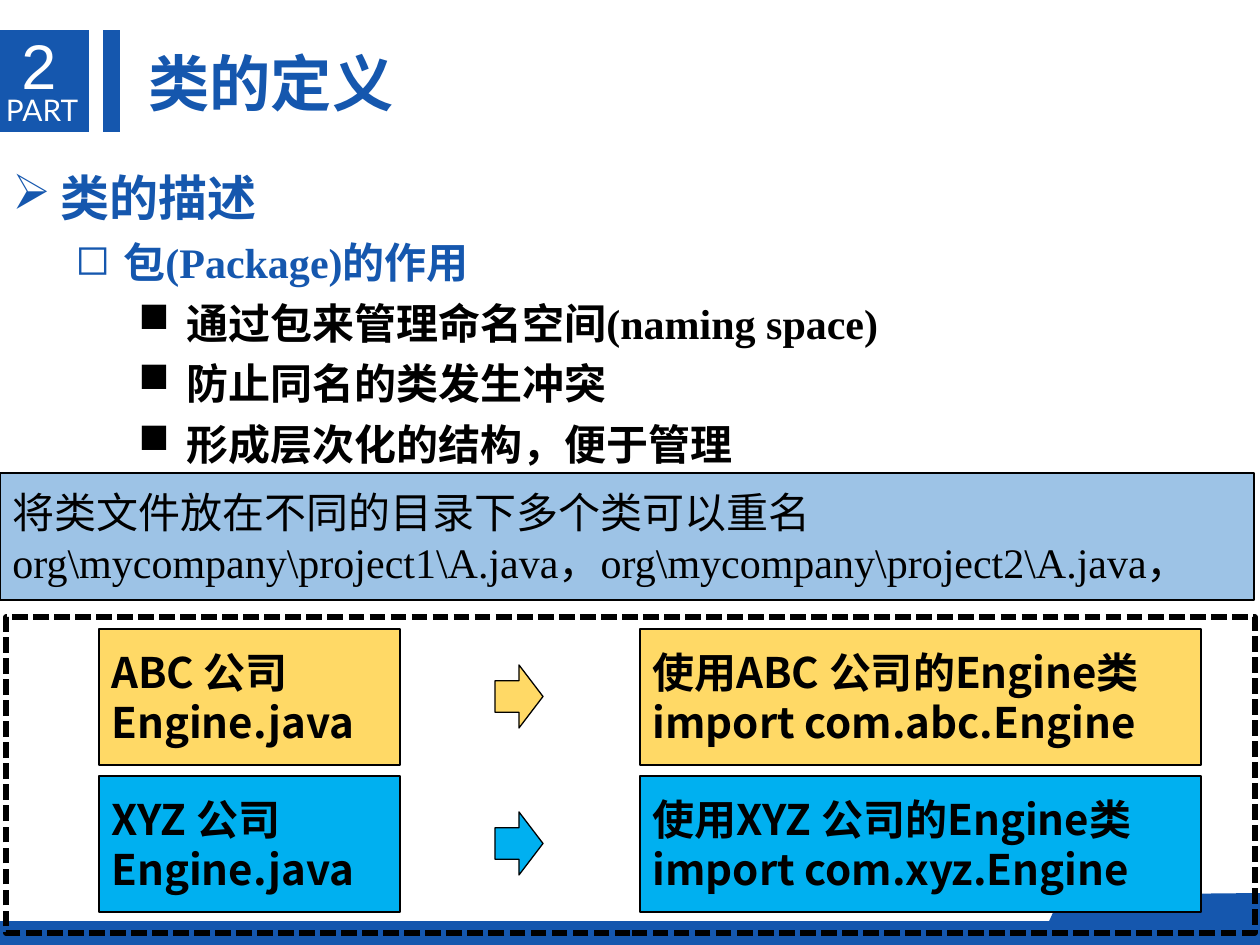
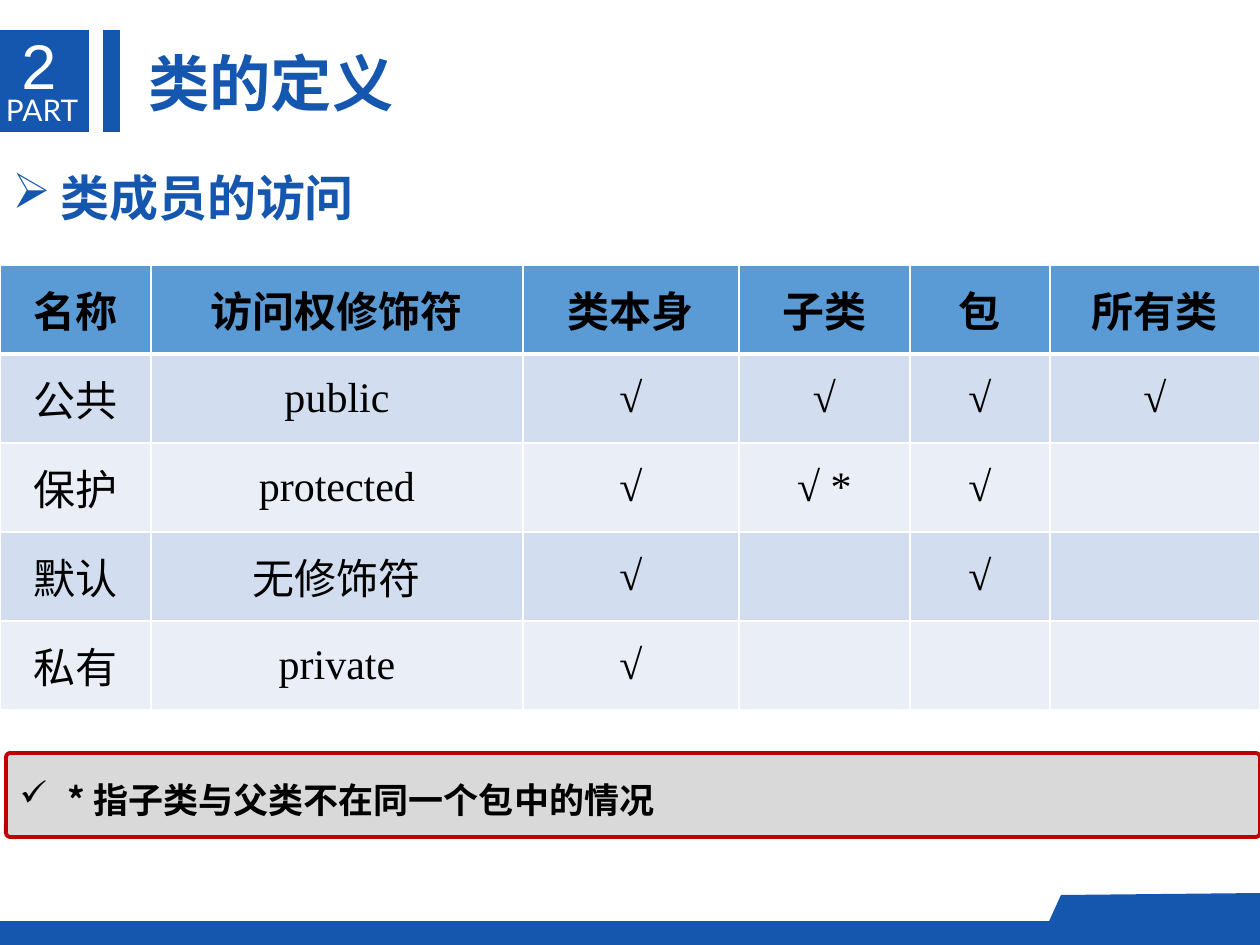
import lxml.etree
import pptx
import pptx.dml.color
import pptx.enum.dml
import pptx.enum.shapes
import pptx.enum.text
import pptx.oxml.ns
import pptx.util

PX = 914400 / 126
WIDTH, HEIGHT = 1260, 945
COLORS = {
    "blue": "1557AE", "white": "FFFFFF", "black": "000000",
    "sky": "9DC3E6", "gold": "FFD966", "cyan": "00B0F0",
    "header": "5B9BD5", "band_dark": "D2DEEF", "band_light": "EAEFF7",
    "gray": "D9D9D9", "red": "C00000",
}
CJK, SERIF = "Noto Sans CJK SC", "Times New Roman"
SHAPE = pptx.enum.shapes.MSO_SHAPE
ALIGN = pptx.enum.text.PP_ALIGN
MIDDLE = pptx.enum.text.MSO_ANCHOR.MIDDLE

PART_NUMBER, TITLE = "2", "类的定义"

# Outline levels: bullet, size, font, color
LEVELS = [
    ("➢", 28, CJK, "blue"),
    ("◻", 24, SERIF, "blue"),
    ("■", 24, SERIF, "black"),
]
INDENT, LEVEL_STEP = 48, 63

PACKAGE_OUTLINE = [
    (0, "类的描述"),
    (1, "包(Package)的作用"),
    (2, "通过包来管理命名空间(naming space)"),
    (2, "防止同名的类发生冲突"),
    (2, "形成层次化的结构，便于管理"),
]
DIRECTORY_NOTE = [
    ("将类文件放在不同的目录下多个类可以重名", CJK),
    (r"org\mycompany\project1\A.java，org\mycompany\project2\A.java，", SERIF),
]
COMPANIES = [
    ("gold", ["ABC 公司", "Engine.java"],
     ["使用ABC 公司的Engine类", "import com.abc.Engine"]),
    ("cyan", ["XYZ 公司", "Engine.java"],
     ["使用XYZ 公司的Engine类", "import com.xyz.Engine"]),
]

ACCESS_OUTLINE = [(0, "类成员的访问")]
ACCESS_ROWS = [
    ["名称", "访问权修饰符", "类本身", "子类", "包", "所有类"],
    ["公共", "public", "√", "√", "√", "√"],
    ["保护", "protected", "√", "√ *", "√", ""],
    ["默认", "无修饰符", "√", "", "√", ""],
    ["私有", "private", "√", "", "", ""],
]
COLUMN_WIDTHS = [151, 372, 216, 171, 140, 210]
ROW_HEIGHT = 89
FOOTNOTE = "* 指子类与父类不在同一个包中的情况"


def px(length):
    return pptx.util.Emu(round(length * PX))


def rgb(name):
    return pptx.dml.color.RGBColor.from_string(COLORS[name])


def sub(parent, tag, **attributes):
    return lxml.etree.SubElement(parent, pptx.oxml.ns.qn(tag), attributes)


def style(para, size, font, color, bold=False):
    para.font.size = pptx.util.Pt(size)
    para.font.bold = bold
    para.font.color.rgb = rgb(color)
    para.font.name = font
    east_asian = font if font != SERIF else CJK
    sub(para.font._element, "a:ea", typeface=east_asian)


def add_bullet(para, bullet, left):
    """Give the paragraph a hanging bullet and wide line spacing."""
    para.line_spacing = 1.2
    properties = para._p.get_or_add_pPr()
    properties.set("marL", str(px(left)))
    properties.set("indent", str(-px(INDENT)))
    sub(properties, "a:buChar", char=bullet)


def write_lines(frame, lines):
    """Fill the frame with paragraphs and yield each one for styling."""
    for index, text in enumerate(lines):
        para = frame.paragraphs[0] if index == 0 else frame.add_paragraph()
        para.text = text
        para.alignment = ALIGN.LEFT
        yield para


def add_box(page, kind, area, fill=None, line=None, line_width=0.75):
    box = page.shapes.add_shape(kind, *map(px, area))
    box.shadow.inherit = False
    paint(box, fill, line, line_width)
    return box


def paint(shape, fill, line=None, line_width=0.75):
    if fill:
        shape.fill.solid()
        shape.fill.fore_color.rgb = rgb(fill)
    else:
        shape.fill.background()
    if line:
        shape.line.color.rgb = rgb(line)
        shape.line.width = pptx.util.Pt(line_width)
    else:
        shape.line.fill.background()


def add_label(page, area, text, size, font, color, bold=False, inset=True):
    box = page.shapes.add_textbox(*map(px, area))
    frame = box.text_frame
    frame.word_wrap = False
    if not inset:
        frame.margin_left = frame.margin_right = 0
        frame.margin_top = frame.margin_bottom = 0
    for para in write_lines(frame, [text]):
        style(para, size, font, color, bold)


def add_outline(page, height, items):
    box = page.shapes.add_textbox(0, px(150), px(WIDTH), px(height))
    box.text_frame.word_wrap = True
    paras = write_lines(box.text_frame, [text for _, text in items])
    for para, (level, _) in zip(paras, items):
        bullet, size, font, color = LEVELS[level]
        para.level = level
        add_bullet(para, bullet, INDENT + level * LEVEL_STEP)
        style(para, size, font, color, bold=True)


def add_note(page, area, fill, lines, bold):
    """Add an outlined rectangle; lines are (text, font) pairs."""
    box = add_box(page, SHAPE.RECTANGLE, area, fill, "black")
    frame = box.text_frame
    frame.word_wrap = False
    frame.vertical_anchor = MIDDLE
    paras = write_lines(frame, [text for text, _ in lines])
    for para, (_, font) in zip(paras, lines):
        style(para, 24, font, "black", bold)


def start_page(deck):
    """Add a page with the shared bands, part number and title."""
    page = deck.slides.add_slide(deck.slide_layouts[6])
    for area in [(0, 30, 89, 102), (103, 30, 17, 102), (0, 921, WIDTH, 24)]:
        add_box(page, SHAPE.FLOWCHART_PROCESS, area, "blue")
    builder = page.shapes.build_freeform(WIDTH, 939, scale=PX)
    builder.add_line_segments([(WIDTH, 893), (1061, 895), (1041, 939)])
    corner = builder.convert_to_shape()
    corner.shadow.inherit = False
    paint(corner, "blue")
    add_label(page, (6, 92, 76, 37), "PART", 17, "Lato", "white", inset=False)
    add_label(page, (9, 20, 67, 89), PART_NUMBER, 36, "Arial", "white")
    add_label(page, (136, 39, 273, 87), TITLE, 35, CJK, "blue", bold=True)
    return page


def add_package_page(deck):
    page = start_page(deck)
    add_outline(page, 323, PACKAGE_OUTLINE)
    add_note(page, (0, 473, 1254, 127), "sky", DIRECTORY_NOTE, bold=False)
    for index, (color, source, usage) in enumerate(COMPANIES):
        top = 629 + index * 147
        for left, width, lines in [(99, 301, source), (640, 561, usage)]:
            add_note(page, (left, top, width, 136), color,
                     [(text, CJK) for text in lines], bold=True)
        add_box(page, SHAPE.RIGHT_ARROW, (495, top + 36, 48, 63), color, "black")
    frame = add_box(page, SHAPE.RECTANGLE, (6, 617, 1249, 316), None, "black", 3)
    frame.line.dash_style = pptx.enum.dml.MSO_LINE.SQUARE_DOT


def add_borders(cell, bottom_width):
    properties = cell._tc.get_or_add_tcPr()
    widths = {"a:lnL": 1, "a:lnR": 1, "a:lnT": 1, "a:lnB": bottom_width}
    for position, (tag, width) in enumerate(widths.items()):
        line = sub(properties, tag, w=str(pptx.util.Pt(width)))
        sub(sub(line, "a:solidFill"), "a:srgbClr", val=COLORS["white"])
        properties.insert(position, line)


def add_access_table(page):
    rows, columns = len(ACCESS_ROWS), len(COLUMN_WIDTHS)
    area = (0, 265, WIDTH, rows * ROW_HEIGHT)
    table = page.shapes.add_table(rows, columns, *map(px, area)).table
    for column, width in zip(table.columns, COLUMN_WIDTHS):
        column.width = px(width)
    for row_index, texts in enumerate(ACCESS_ROWS):
        is_header = row_index == 0
        table.rows[row_index].height = px(ROW_HEIGHT)
        band = "band_dark" if row_index % 2 else "band_light"
        for column_index, text in enumerate(texts):
            cell = table.cell(row_index, column_index)
            cell.vertical_anchor = MIDDLE
            cell.fill.solid()
            cell.fill.fore_color.rgb = rgb("header" if is_header else band)
            add_borders(cell, 3 if is_header else 1)
            for para in write_lines(cell.text_frame, [text]):
                para.alignment = ALIGN.CENTER
                style(para, 24, SERIF, "black", bold=is_header)


def add_access_page(deck):
    page = start_page(deck)
    add_outline(page, 140, ACCESS_OUTLINE)
    add_access_table(page)
    box = add_box(page, SHAPE.ROUNDED_RECTANGLE, (6, 753, 1254, 84),
                  "gray", "red", 2.25)
    box.adjustments[0] = 0.05
    frame = box.text_frame
    frame.word_wrap = True
    frame.vertical_anchor = MIDDLE
    for para in write_lines(frame, [FOOTNOTE]):
        para.alignment = ALIGN.JUSTIFY
        add_bullet(para, "✓", INDENT)
        style(para, 20, CJK, "black", bold=True)


def main():
    deck = pptx.Presentation()
    deck.slide_width, deck.slide_height = px(WIDTH), px(HEIGHT)
    add_package_page(deck)
    add_access_page(deck)
    deck.save("out.pptx")


if __name__ == "__main__":
    main()
